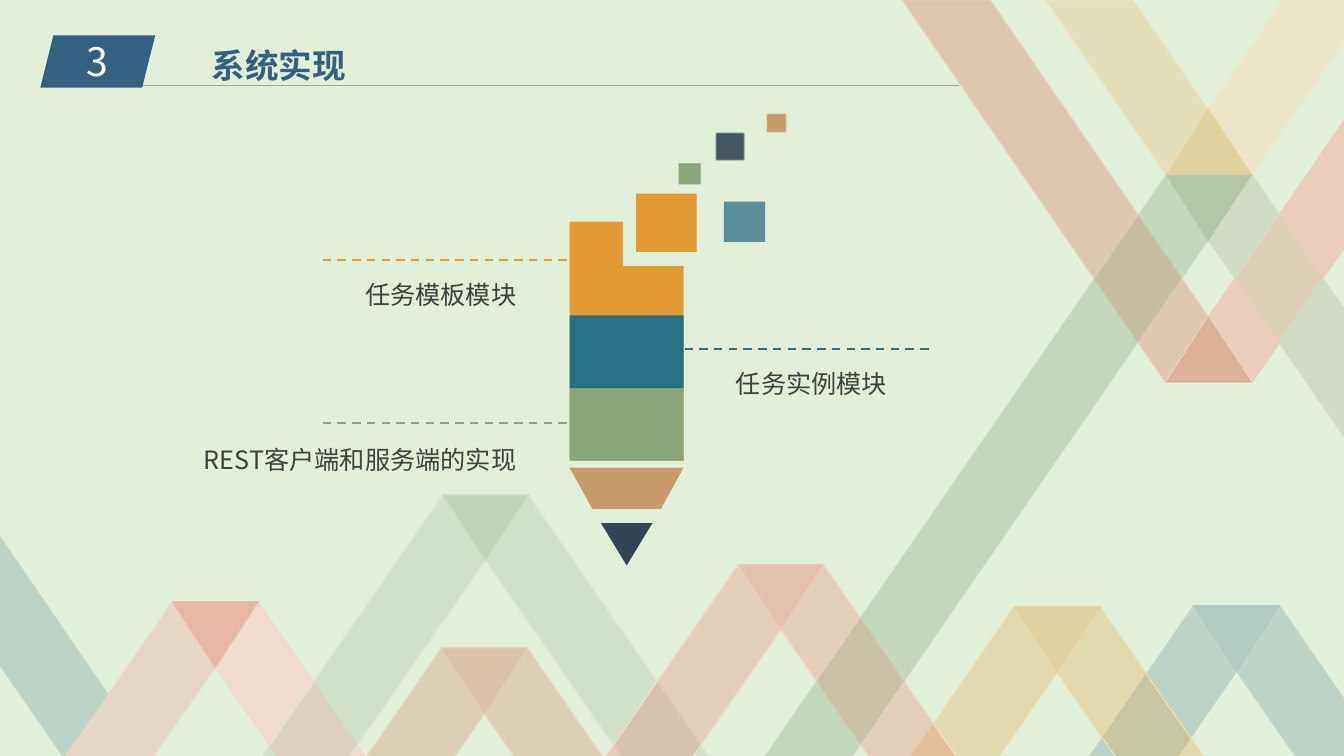
import pptx
import pptx.dml.color
import pptx.enum.dml
import pptx.enum.shapes
import pptx.enum.text
import pptx.oxml
import pptx.oxml.ns
import pptx.util
from lxml import etree

SHAPE = pptx.enum.shapes.MSO_SHAPE
ALIGN = pptx.enum.text.PP_ALIGN
qn = pptx.oxml.ns.qn
WIDTH, HEIGHT = 13.33, 7.5


class Theme:
    font = "Noto Sans CJK SC"
    back, rule = "E2F0D9", "A6A6A6"
    navy, ink, white, text = "346182", "324554", "FFFFFF", "404040"
    orange, green, teal, blue, wood = "E49B35", "89A67A", "287184", "508799", "C79B6C"
    title = {"size": pptx.util.Pt(24), "bold": True}
    number = {"size": pptx.util.Pt(28)}
    label = {"size": pptx.util.Pt(18)}
    # Ribbon tints: fill, opacity in percent, outline, outline opacity
    rose = ("EE8F82", 25, "EED9C6", 100)
    rose_solid = ("F1DBCC", 100, "F1DBCC", 100)
    rose_cap = ("ED5249", 35, "EFBBAB", 100)
    coral = ("ED6F65", 25, "F1DBCC", 100)
    coral_cap = ("ED6F65", 35, "F2C7BA", 100)
    sage = ("A2B894", 25, "E0E6D3", 100)
    sage_cap = ("89A67A", 35, "CFDAC2", 100)
    clay = ("D57053", 25, "EAD3BF", 100)
    clay_cap = ("D57053", 35, "E6C6B1", 100)
    sky = ("508799", 25, "C4D5C6", 100)
    sky_cap = ("508799", 35, "B5CAC1", 100)
    gold = ("E49B35", 25, "EBDCB0", 100)
    gold_cap = ("E49B35", 35, "EBD3A3", 100)
    sand = ("E7B05E", 25, "EFE3C2", 100)
    cream = ("EFE3C2", 71, "EEE6C8", 100)
    blush = ("EBCEBC", 100, "EACDBA", 100)
    moss = ("D2DBC4", 100, "D3DDC7", 100)
    clay_long = ("D57053", 30, "EACEBC", 100)
    clay_tip = ("D57053", 49, "DF9B83", 49)
    leaf_long = ("88A378", 30, "D3DCC5", 30)
    leaf_tip = ("88A378", 53, "B3C4A5", 53)


def cm(inches):
    return pptx.util.Cm(inches * 2.54)


def rgb(color):
    return pptx.dml.color.RGBColor.from_string(color)


def set_alpha(solid, alpha):
    if alpha < 100:
        etree.SubElement(solid[0], qn("a:alpha"), val=str(alpha * 1000))


def paint(sp, fill, alpha=100, line=None, line_alpha=100):
    sp.shadow.inherit = False
    sp.fill.solid()
    sp.fill.fore_color.rgb = rgb(fill)
    spPr = sp._element.spPr
    set_alpha(spPr.find(qn("a:solidFill")), alpha)
    if line is None:
        sp.line.fill.background()
        return
    sp.line.color.rgb = rgb(line)
    sp.line.width = pptx.util.Pt(1)
    set_alpha(spPr.find(qn("a:ln")).find(qn("a:solidFill")), line_alpha)


def add_preset(shapes, kind, x, y, w, h, *tint):
    sp = shapes.add_shape(kind, cm(x), cm(y), cm(w), cm(h))
    paint(sp, *tint)
    return sp


def add_polygon(shapes, points, tint):
    pts = [(cm(x), cm(y)) for x, y in points]
    fb = shapes.build_freeform(*pts[0])
    fb.add_line_segments(pts[1:], close=True)
    paint(fb.convert_to_shape(), *tint)


def add_line(s, x1, y1, x2, y2, color, width, dash=None):
    ln = s.shapes.add_connector(pptx.enum.shapes.MSO_CONNECTOR.STRAIGHT,
                                cm(x1), cm(y1), cm(x2), cm(y2))
    ln.line.color.rgb = rgb(color)
    ln.line.width = pptx.util.Pt(width)
    ln.line.dash_style = dash
    etree.SubElement(ln._element.spPr, qn("a:effectLst"))


def write(sp, text, color, fmt, align, spacing=1.0, wrap=True):
    tf = sp.text_frame
    tf.word_wrap = wrap
    tf.auto_size = pptx.enum.text.MSO_AUTO_SIZE.NONE
    tf.vertical_anchor = pptx.enum.text.MSO_ANCHOR.MIDDLE
    p = tf.paragraphs[0]
    p.alignment, p.line_spacing = align, spacing
    r = p.add_run()
    r.text = text
    for name, value in {"name": Theme.font, **fmt}.items():
        setattr(r.font, name, value)
    r.font.color.rgb = rgb(color)
    etree.SubElement(r._r.get_or_add_rPr(), qn("a:ea"), typeface=Theme.font)


def add_peak(s, x, y, bottom, right_edge, left, right, cap):
    """Folded ribbon: a cap and two legs running down to the bottom."""
    cap_w, cap_h, band, slope = 0.85, 0.65, 0.87, 0.69
    run = slope * (bottom - y)
    tip, end = (x + cap_w / 2, y + cap_h), x + cap_w
    foot = end + run
    add_polygon(s.shapes, [(x, y), tip, (x - run + band, bottom), (x - run, bottom)], left)
    outer = [(foot, bottom)]
    if foot > right_edge:
        outer = [(right_edge, y + (right_edge - end) / slope), (right_edge, bottom)]
    add_polygon(s.shapes, [(end, y), *outer, (foot - band, bottom), tip], right)
    add_polygon(s.shapes, [(x, y), (end, y), tip], cap)


def add_ribbons(s, box):
    x, y, w, h = box
    t = Theme
    # Peaks along the bottom
    for px, py, left, right, cap in [
            (1.71, 5.97, t.rose, t.rose_solid, t.rose_cap),
            (4.39, 4.91, t.sage, t.sage, t.sage_cap),
            (4.38, 6.43, t.clay, t.clay, t.clay_cap),
            (11.84, 6.01, t.sky, t.sky, t.sky_cap),
            (10.06, 6.02, t.gold, t.gold, t.gold_cap),
            (7.32, 5.6, t.coral, t.coral, t.coral_cap)]:
        add_peak(s, x + px, y + py, y + h + 0.04, x + w, left, right, cap)
    # Lattice at the top right, long bands and the left edge
    for points, tint in [
            ([(11.98, 3.14), (12.41, 3.79), (11.57, 3.79)], t.clay_tip),
            ([(10.37, 0), (11.24, 0), (11.98, 1.08), (11.56, 1.73)], t.sand),
            ([(12.73, 0), (13.35, 0), (13.35, 0.38), (12.42, 1.73), (11.99, 1.08)], t.cream),
            ([(12.69, 2.13), (13.12, 2.76), (12.69, 3.4), (12.25, 2.76)], t.clay),
            ([(13.35, 1.17), (13.35, 2.44), (13.12, 2.76), (12.69, 2.13)], t.blush),
            ([(12.42, 1.74), (12.69, 2.13), (12.25, 2.76), (11.99, 2.39)], t.moss),
            ([(12.25, 2.76), (12.69, 3.4), (12.42, 3.79), (11.99, 3.14)], t.blush),
            ([(13.12, 2.76), (13.35, 3.09), (13.35, 4.36), (12.69, 3.4)], t.moss),
            ([(11.98, 1.08), (12.41, 1.73), (11.57, 1.73)], t.gold_cap),
            ([(11.98, 2.39), (12.41, 1.74), (11.57, 1.74)], t.leaf_tip),
            ([(-0.04, 5.27), (1.07, 6.89), (0.63, 7.51), (-0.04, 6.54)], t.sky),
            ([(8.95, 0), (9.82, 0), (11.98, 3.14), (11.56, 3.79)], t.clay_long),
            ([(11.56, 1.74), (11.98, 2.39), (8.43, 7.54), (7.56, 7.54)], t.leaf_long)]:
        add_polygon(s.shapes, [(x + px, y + py) for px, py in points], tint)


def add_header(s, box):
    x, y, w, h = box
    # Title
    title = s.shapes.title
    title.left, title.top, title.width, title.height = map(cm, (x + 1.6, y - 0.12, 1.55, 0.64))
    write(title, "系统实现", Theme.navy, Theme.title, ALIGN.LEFT, 1.5, False)
    # Rule and section number
    add_line(s, x + 0.47, y + 0.5, x + w, y + 0.5, Theme.rule, 0.5)
    tag = add_preset(s.shapes, SHAPE.PARALLELOGRAM, x, y, 1.14, h, Theme.navy)
    number = s.shapes.add_textbox(tag.left, cm(y - 0.03), tag.width, cm(0.57))
    write(number, "3", Theme.white, Theme.number, ALIGN.CENTER)


def add_pencil(s, box):
    x, y, w, h = box
    t = Theme
    shapes = s.shapes.add_group_shape().shapes
    # Tip and wooden cone
    tip = add_preset(shapes, SHAPE.ISOSCELES_TRIANGLE, x + 0.31, y + h - 0.42, 0.51, 0.42, t.ink)
    tip.rotation = 180
    add_preset(shapes, SHAPE.FLOWCHART_MANUAL_OPERATION, x, y + 3.52, w, 0.41, t.wood)
    # Notched body
    body = [(0, 1.08), (0.53, 1.08), (0.53, 1.52), (w, 1.52), (w, 3.45), (0, 3.45)]
    add_polygon(shapes, [(x + px, y + py) for px, py in body], (t.orange,))
    for dy, color in [(2.73, t.green), (2.01, t.teal)]:
        add_preset(shapes, SHAPE.RECTANGLE, x, y + dy, w, 0.72, color)
    # Loose squares, the far ones with soft edges
    for dx, dy, sw, sh, color, alpha, soft in [
            (0.66, 0.8, 0.6, 0.58, t.orange, 100, 0),
            (1.08, 0.5, 0.22, 0.21, t.green, 100, 0),
            (1.94, 0, 0.22, 0.21, t.wood, 100, 1),
            (1.44, 0.19, 0.3, 0.29, t.ink, 89, 1),
            (1.53, 0.88, 0.41, 0.4, t.blue, 92, 0)]:
        sp = add_preset(shapes, SHAPE.RECTANGLE, x + dx, y + dy, sw, sh, color, alpha)
        if soft:
            effects = sp._element.spPr.find(qn("a:effectLst"))
            etree.SubElement(effects, qn("a:softEdge"), rad=str(pptx.util.Pt(soft)))


def add_module(s, box, text, color, line_x, align):
    x, y, w, h = box
    add_line(s, line_x[0], y, line_x[1], y, color, 1.5, pptx.enum.dml.MSO_LINE.DASH)
    label = s.shapes.add_textbox(cm(x), cm(y + 0.07), cm(w), cm(h))
    write(label, text, Theme.text, Theme.label, align, 1.3)


def main():
    prs = pptx.Presentation()
    prs.slide_width, prs.slide_height = cm(WIDTH), cm(HEIGHT)
    s = prs.slides.add_slide(prs.slide_layouts[5])
    s.background.fill.solid()
    s.background.fill.fore_color.rgb = rgb(Theme.back)
    add_ribbons(s, (0, 0, WIDTH, HEIGHT))
    add_header(s, (0.4, 0.35, 9.11, 0.52))
    add_pencil(s, (5.65, 1.12, 1.13, 4.49))
    left, right = (3.2, 5.91), (9.21, 6.49)
    add_module(s, (1.19, 2.58, 4.03, 0.46), "任务模板模块", Theme.orange, left, ALIGN.RIGHT)
    add_module(s, (1.19, 4.2, 4.03, 0.49), "REST客户端和服务端的实现", Theme.green, left, ALIGN.RIGHT)
    add_module(s, (7.2, 3.46, 4.03, 0.46), "任务实例模块", Theme.teal, right, ALIGN.LEFT)
    prs.save("out.pptx")


if __name__ == "__main__":
    main()
